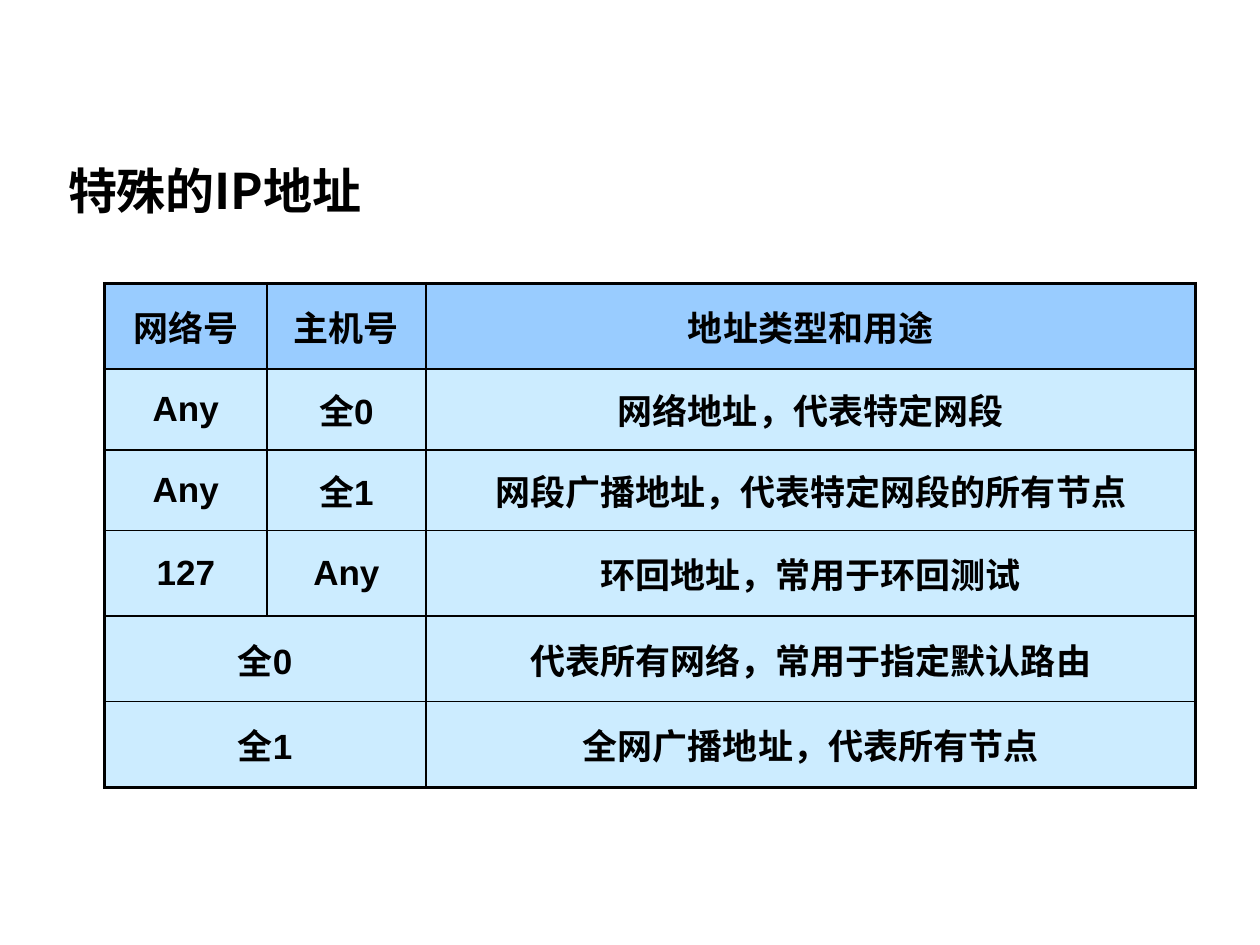
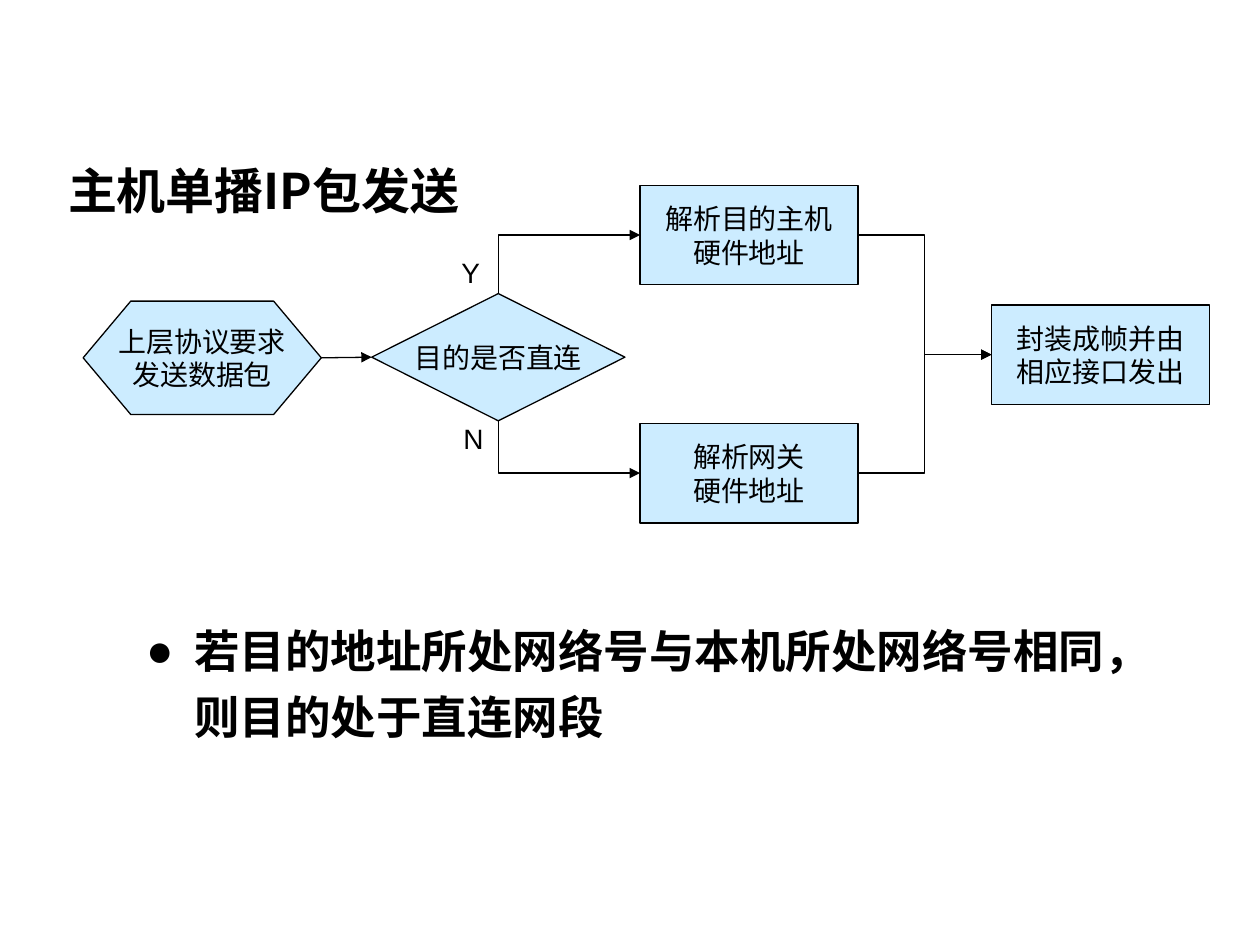
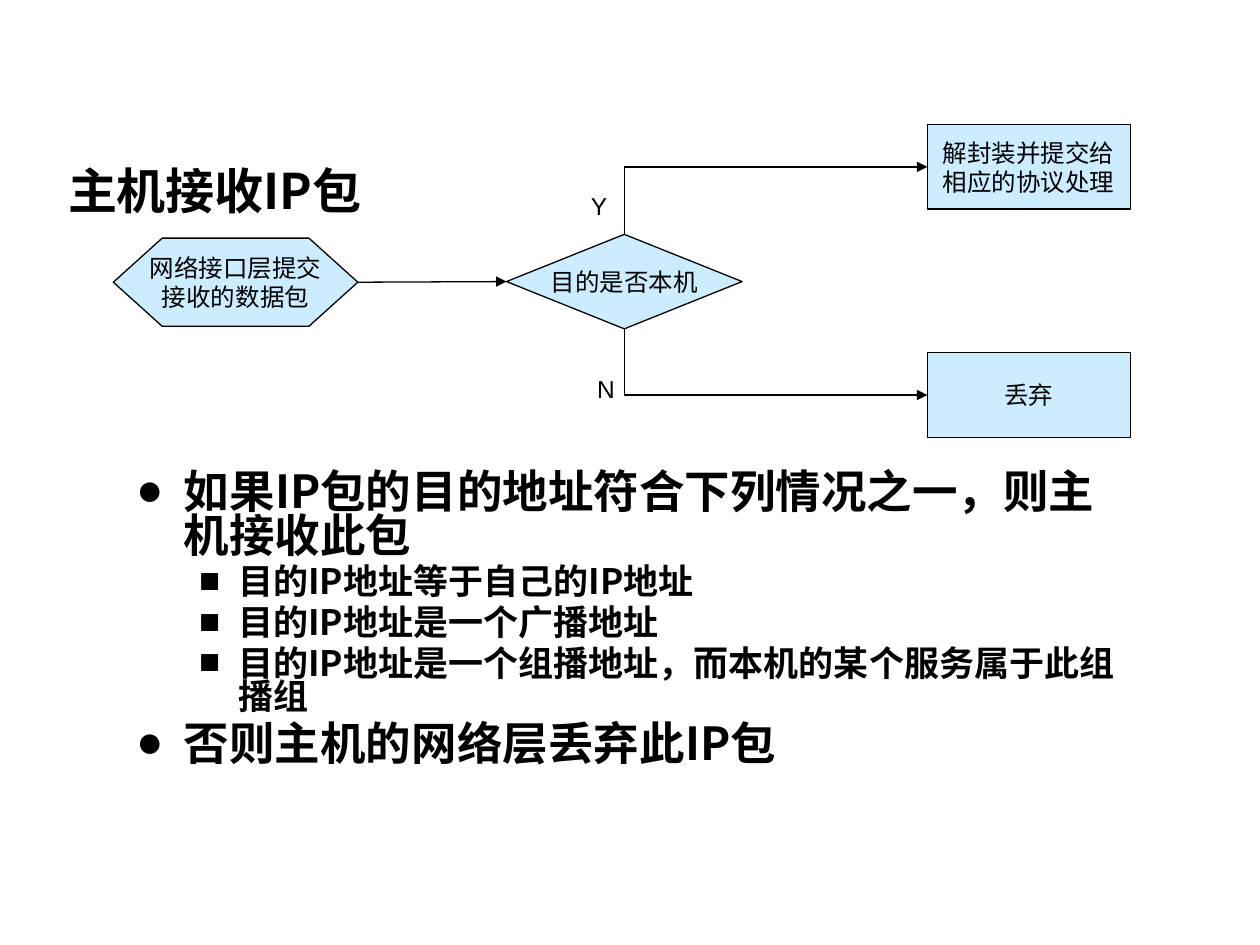
from lxml import etree
from pptx import Presentation
from pptx.dml.color import RGBColor
from pptx.enum.shapes import MSO_CONNECTOR, MSO_SHAPE
from pptx.enum.text import MSO_ANCHOR, MSO_AUTO_SIZE, PP_ALIGN
from pptx.oxml.ns import qn
from pptx.util import Inches, Pt

COLORS = {"ink": "000000", "header": "99CCFF", "panel": "CCECFF"}
TITLE_FONT, BODY_FONT, LABEL_FONT = "Noto Sans CJK JP", "Noto Sans CJK SC", "Arial"

TITLE_ONLY, TITLE_AND_BODY = 5, 1
START = MSO_SHAPE.FLOWCHART_PREPARATION
DECISION = MSO_SHAPE.FLOWCHART_DECISION
PROCESS = MSO_SHAPE.FLOWCHART_PROCESS
STRAIGHT, ELBOW = MSO_CONNECTOR.STRAIGHT, MSO_CONNECTOR.ELBOW
LEFT, CENTER, MIDDLE = PP_ALIGN.LEFT, PP_ALIGN.CENTER, MSO_ANCHOR.MIDDLE
NO_AUTOFIT = MSO_AUTO_SIZE.NONE

# Connection sites of the flowchart shapes
TOP_SITE, LEFT_SITE, BOTTOM_SITE, RIGHT_SITE = range(4)

# Bullet character, text size, left margin and hanging indent for each level
LEVELS = [("●", 26, 0.38, 0.38), ("■", 20, 0.81, 0.31)]

ADDRESS_ROWS = [
    ("网络号", "主机号", "地址类型和用途"),
    ("Any", "全0", "网络地址，代表特定网段"),
    ("Any", "全1", "网段广播地址，代表特定网段的所有节点"),
    ("127", "Any", "环回地址，常用于环回测试"),
    ("全0", None, "代表所有网络，常用于指定默认路由"),
    ("全1", None, "全网广播地址，代表所有节点"),
]
COLUMN_WIDTHS = [1.29, 1.26, 6.11]
ROW_HEIGHTS = [0.68, 0.64, 0.64, 0.68, 0.68, 0.68]


def rgb(name):
    return RGBColor.from_string(COLORS[name])


def place(shape, left, top, width, height):
    shape.left, shape.top = Inches(left), Inches(top)
    shape.width, shape.height = Inches(width), Inches(height)


def add_text(paragraph, text, size, latin=LABEL_FONT, east_asian=BODY_FONT, bold=False):
    run = paragraph.add_run()
    run.text = text
    run.font.size, run.font.bold, run.font.name = Pt(size), bold, latin
    run.font.color.rgb = rgb("ink")
    ea = etree.Element(qn("a:ea"), typeface=east_asian)
    run.font._element.find(qn("a:latin")).addnext(ea)


def add_centered_lines(frame, text, size):
    for index, line in enumerate(text.split("\n")):
        paragraph = frame.add_paragraph() if index else frame.paragraphs[0]
        paragraph.alignment = CENTER
        add_text(paragraph, line, size)


def add_titled_slide(prs, layout, title_text):
    slide = prs.slides.add_slide(prs.slide_layouts[layout])
    title = slide.shapes.title
    place(title, 0.44, 1.15, 8.61, 0.71)
    frame = title.text_frame
    frame.auto_size, frame.vertical_anchor = NO_AUTOFIT, MIDDLE
    paragraph = frame.paragraphs[0]
    paragraph.alignment = LEFT
    add_text(paragraph, title_text, 28, TITLE_FONT, TITLE_FONT, True)
    return slide


def add_bullets(slide, box, line_spacing, items):
    """Fill the body placeholder with (level, text) items."""
    body = slide.placeholders[1]
    place(body, *box)
    frame = body.text_frame
    frame.auto_size = NO_AUTOFIT
    for index, (level, text) in enumerate(items):
        bullet, size, margin, hanging = LEVELS[level]
        paragraph = frame.add_paragraph() if index else frame.paragraphs[0]
        paragraph.level = level
        paragraph.line_spacing = line_spacing
        paragraph.space_before = Pt(size * 0.2)
        properties = paragraph._p.get_or_add_pPr()
        properties.set("marL", str(Inches(margin)))
        properties.set("indent", str(-Inches(hanging)))
        etree.SubElement(properties, qn("a:buFont"), typeface=LABEL_FONT)
        etree.SubElement(properties, qn("a:buChar"), char=bullet)
        add_text(paragraph, text, size, BODY_FONT, BODY_FONT, True)


def add_step(slide, kind, box, text, size):
    step = slide.shapes.add_shape(kind, *map(Inches, box))
    step.shadow.inherit = False
    step.fill.solid()
    step.fill.fore_color.rgb = rgb("panel")
    step.line.color.rgb = rgb("ink")
    step.line.width = Pt(0.75)
    frame = step.text_frame
    frame.word_wrap, frame.vertical_anchor = False, MIDDLE
    add_centered_lines(frame, text, size)
    return step


def add_branch_label(slide, box, text, size):
    label = slide.shapes.add_textbox(*map(Inches, box))
    label.text_frame.word_wrap = True
    add_centered_lines(label.text_frame, text, size)


def add_arrow(slide, kind, source, source_site, target):
    """Glue an arrow from a site of source to the left side of target."""
    arrow = slide.shapes.add_connector(kind, 0, 0, 0, 0)
    arrow.begin_connect(source, source_site)
    arrow.end_connect(target, LEFT_SITE)
    arrow.line.color.rgb = rgb("ink")
    arrow.line.width = Pt(0.75)
    etree.SubElement(arrow.line._get_or_add_ln(), qn("a:tailEnd"), type="triangle")
    etree.SubElement(arrow.element.spPr, qn("a:effectLst"))
    return arrow


def add_branch(slide, decision, site, target):
    """Add an arrow that leaves vertically and turns once towards target."""
    arrow = add_arrow(slide, ELBOW, decision, site, target)
    run = arrow.end_x - arrow.begin_x
    rise = arrow.begin_y - arrow.end_y
    center_x = (arrow.begin_x + arrow.end_x) // 2
    center_y = (arrow.begin_y + arrow.end_y) // 2
    # The one-bend preset starts horizontally, so it is turned by 270 degrees
    arrow.width, arrow.height = abs(rise), run
    arrow.left, arrow.top = center_x - abs(rise) // 2, center_y - run // 2
    properties = arrow.element.spPr
    properties.find(qn("a:prstGeom")).set("prst", "bentConnector2")
    frame = properties.find(qn("a:xfrm"))
    frame.set("rot", str(270 * 60000))
    frame.set("flipH", str(int(rise < 0)))
    frame.set("flipV", "0")


def set_borders(cell, widths):
    """Draw cell borders from a dict of side letter to width in points."""
    properties = cell._tc.get_or_add_tcPr()
    for side, width in widths.items():
        line = etree.SubElement(properties, qn(f"a:ln{side}"), w=str(Pt(width)))
        fill = etree.SubElement(line, qn("a:solidFill"))
        etree.SubElement(fill, qn("a:srgbClr"), val=COLORS["ink"])


def add_address_table(slide):
    row_count, column_count = len(ROW_HEIGHTS), len(COLUMN_WIDTHS)
    table = slide.shapes.add_table(
        row_count, column_count, Inches(0.83), Inches(2.25),
        Inches(sum(COLUMN_WIDTHS)), Inches(sum(ROW_HEIGHTS))).table
    table.first_row = table.horz_banding = False
    for column, width in zip(table.columns, COLUMN_WIDTHS):
        column.width = Inches(width)
    for row, height in zip(table.rows, ROW_HEIGHTS):
        row.height = Inches(height)

    for r, texts in enumerate(ADDRESS_ROWS):
        for c, text in enumerate(texts):
            cell = table.cell(r, c)
            outer = {"L": c == 0, "R": c == column_count - 1,
                     "T": r == 0, "B": r == row_count - 1}
            set_borders(cell, {side: 2.25 if edge else 1 for side, edge in outer.items()})
            cell.fill.solid()
            cell.fill.fore_color.rgb = rgb("panel" if r else "header")
            cell.vertical_anchor = MIDDLE
            if text is None:
                table.cell(r, c - 1).merge(cell)
                continue
            paragraph = cell.text_frame.paragraphs[0]
            paragraph.alignment = CENTER
            add_text(paragraph, text, 20, bold=True)


def build_special_addresses(prs):
    slide = add_titled_slide(prs, TITLE_ONLY, "特殊的IP地址")
    add_address_table(slide)


def build_sending(prs):
    slide = add_titled_slide(prs, TITLE_AND_BODY, "主机单播IP包发送")
    add_bullets(slide, (1.06, 4.81, 8.03, 1.73), 1.2, [
        (0, "若目的地址所处网络号与本机所处网络号相同，则目的处于直连网段"),
    ])
    size = 16
    request = add_step(slide, START, (0.66, 2.39, 1.89, 0.9), "上层协议要求\n发送数据包", size)
    direct = add_step(slide, DECISION, (2.95, 2.33, 2.01, 1.01), "目的是否直连", size)
    gateway = add_step(slide, PROCESS, (5.08, 3.36, 1.73, 0.79), "解析网关\n硬件地址", size)
    host = add_step(slide, PROCESS, (5.08, 1.47, 1.73, 0.79), "解析目的主机\n硬件地址", size)
    output = add_step(slide, PROCESS, (7.87, 2.42, 1.73, 0.79), "封装成帧并由\n相应接口发出", size)
    add_arrow(slide, STRAIGHT, request, RIGHT_SITE, direct)
    for resolver in (gateway, host):
        add_arrow(slide, ELBOW, resolver, RIGHT_SITE, output)
    add_branch(slide, direct, TOP_SITE, host)
    add_branch(slide, direct, BOTTOM_SITE, gateway)
    add_branch_label(slide, (3.54, 1.98, 0.39, 0.37), "Y", size)
    add_branch_label(slide, (3.58, 3.3, 0.35, 0.37), "N", size)


def build_receiving(prs):
    slide = add_titled_slide(prs, TITLE_AND_BODY, "主机接收IP包")
    add_bullets(slide, (0.98, 3.71, 8.03, 2.8), 0.8, [
        (0, "如果IP包的目的地址符合下列情况之一，则主机接收此包"),
        (1, "目的IP地址等于自己的IP地址"),
        (1, "目的IP地址是一个广播地址"),
        (1, "目的IP地址是一个组播地址，而本机的某个服务属于此组播组"),
        (0, "否则主机的网络层丢弃此IP包"),
    ])
    size = 14
    arrival = add_step(slide, START, (0.9, 1.89, 1.94, 0.7), "网络接口层提交\n接收的数据包", size)
    local = add_step(slide, DECISION, (4.02, 1.86, 1.87, 0.75), "目的是否本机", size)
    discard = add_step(slide, PROCESS, (7.36, 2.8, 1.61, 0.67), "丢弃", size)
    deliver = add_step(slide, PROCESS, (7.36, 0.99, 1.61, 0.67), "解封装并提交给\n相应的协议处理", size)
    add_arrow(slide, STRAIGHT, arrival, RIGHT_SITE, local)
    add_branch(slide, local, TOP_SITE, deliver)
    add_branch(slide, local, BOTTOM_SITE, discard)
    add_branch_label(slide, (4.57, 1.47, 0.37, 0.33), "Y", size)
    add_branch_label(slide, (4.64, 2.92, 0.33, 0.33), "N", size)


def main():
    prs = Presentation()
    prs.slide_width, prs.slide_height = Inches(10), Inches(7.5)
    build_special_addresses(prs)
    build_sending(prs)
    build_receiving(prs)
    prs.save("out.pptx")


if __name__ == "__main__":
    main()
